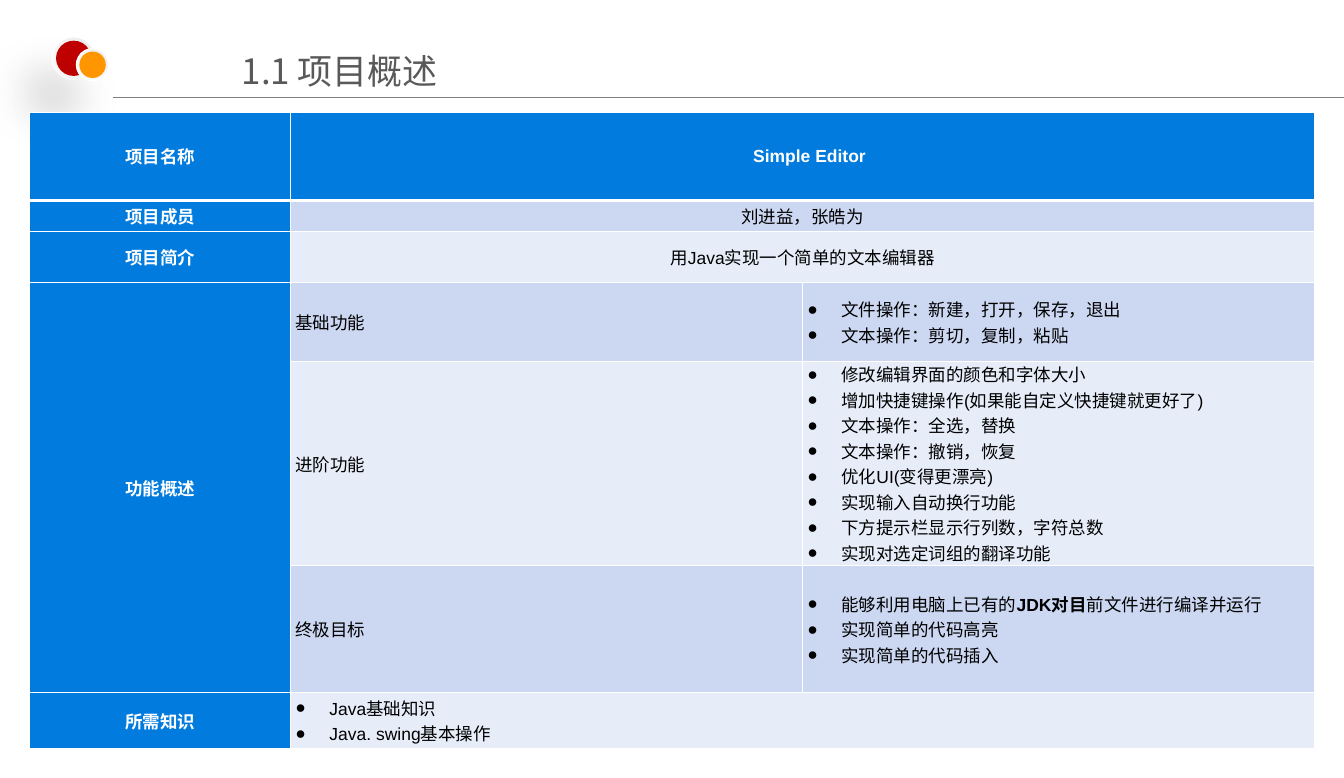
from lxml.etree import SubElement
from pptx import Presentation
from pptx.dml.color import RGBColor
from pptx.enum.shapes import MSO_CONNECTOR, MSO_SHAPE
from pptx.enum.text import MSO_ANCHOR, PP_ALIGN
from pptx.oxml.ns import qn
from pptx.util import Inches, Pt

WIDTH, HEIGHT = Inches(14.96), Inches(8.66)
WHITE = RGBColor(0xFF, 0xFF, 0xFF)
BLACK = RGBColor(0, 0, 0)
GRAY = RGBColor(0x59, 0x59, 0x59)
RULE_GRAY = RGBColor(0x80, 0x80, 0x80)
RIM_DARK = RGBColor(0xEB, 0xEB, 0xEB)
RIM_LIGHT = RGBColor(0xFE, 0xFE, 0xFE)
RED = RGBColor(0xC0, 0, 0)
ORANGE = RGBColor(0xFF, 0x96, 0)
BLUE = RGBColor(0x01, 0x7B, 0xDE)
BAND_DARK = RGBColor(0xCC, 0xD7, 0xF2)
BAND_LIGHT = RGBColor(0xE7, 0xEC, 0xF9)
CJK = "Noto Sans CJK SC"

COL_WEIGHTS = (2.91, 5.7, 5.7)
ROW_WEIGHTS = (0.98, 0.35, 0.57, 0.87, 2.28, 1.41, 0.62)
MERGES = [(0, 1, 0, 2), (1, 1, 1, 2), (2, 1, 2, 2), (3, 0, 5, 0), (6, 1, 6, 2)]
HEADINGS = {0: "项目名称", 1: "项目成员", 2: "项目简介", 3: "功能概述", 6: "所需知识"}
CENTERED = {0: "Simple Editor", 1: "刘进益，张皓为", 2: "用Java实现一个简单的文本编辑器"}
LEVELS = {3: "基础功能", 4: "进阶功能", 5: "终极目标"}
BULLETS = {
    (3, 2): ["文件操作：新建，打开，保存，退出", "文本操作：剪切，复制，粘贴"],
    (4, 2): ["修改编辑界面的颜色和字体大小", "增加快捷键操作(如果能自定义快捷键就更好了)",
             "文本操作：全选，替换", "文本操作：撤销，恢复", "优化UI(变得更漂亮)",
             "实现输入自动换行功能", "下方提示栏显示行列数，字符总数", "实现对选定词组的翻译功能"],
    (5, 2): [("能够利用电脑上已有的", "JDK对目", "前文件进行编译并运行"),
             "实现简单的代码高亮", "实现简单的代码插入"],
    (6, 1): ["Java基础知识", "Java. swing基本操作"],
}


def area(x, y, w, h):
    return [int(side * share / 100) for side, share in
            ((WIDTH, x), (HEIGHT, y), (WIDTH, w), (HEIGHT, h))]


def add_run(p, text, color, latin="Arial", **formats):
    r = p.add_run()
    r.text = text
    r.font.color.rgb = color
    for name, value in {"name": latin, **formats}.items():
        setattr(r.font, name, value)
    SubElement(r._r.get_or_add_rPr(), qn("a:ea"), typeface=CJK)


def add_shadow(sp):
    effects = SubElement(sp._element.spPr, qn("a:effectLst"))
    shadow = SubElement(effects, qn("a:outerShdw"), blurRad=str(Pt(36)), dist=str(Pt(35)),
                        dir=str(130 * 60000), algn="ctr", rotWithShape="0")
    color = SubElement(shadow, qn("a:srgbClr"), val=str(BLACK))
    SubElement(color, qn("a:alpha"), val="14000")


def add_disc(s, left, top, size, color):
    group = s.shapes.add_group_shape()
    rim = group.shapes.add_shape(MSO_SHAPE.OVAL, left, top, size, size)
    rim.fill.gradient()
    rim.fill.gradient_angle = 360 - 126
    for stop, shade in zip(rim.fill.gradient_stops, (RIM_DARK, RIM_LIGHT)):
        stop.color.rgb = shade
    rim.line.color.rgb = WHITE
    rim.line.width = Pt(1)
    add_shadow(rim)
    inset = int(size * 0.09)
    core = group.shapes.add_shape(MSO_SHAPE.OVAL, left + inset, top + inset,
                                  size - 2 * inset, size - 2 * inset)
    core.shadow.inherit = False
    core.fill.solid()
    core.fill.fore_color.rgb = color
    core.line.fill.background()


def add_ornament(s, box):
    left, top, width, height = box
    for dx, dy, size, color in ((0, 0, 0.76, RED), (0.43, 0.27, 0.57, ORANGE)):
        add_disc(s, int(left + dx * width), int(top + dy * height), int(size * width), color)


def add_rule(s, box):
    left, top, width, height = box
    line = s.shapes.add_connector(MSO_CONNECTOR.STRAIGHT, left, top, left + width, top + height)
    line.line.color.rgb = RULE_GRAY
    line.line.width = Pt(0.75)
    SubElement(line._element.spPr, qn("a:effectLst"))


def add_title(s, box):
    tf = s.shapes.add_textbox(*box).text_frame
    formats = {"word_wrap": True, "vertical_anchor": MSO_ANCHOR.MIDDLE,
               "margin_left": Inches(0.14), "margin_right": Inches(0.14),
               "margin_top": Inches(0.07), "margin_bottom": Inches(0.07)}
    for name, value in formats.items():
        setattr(tf, name, value)
    p = tf.paragraphs[0]
    p.alignment = PP_ALIGN.CENTER
    add_run(p, "1.1 项目概述", GRAY, CJK, size=Pt(28))


def style_cell(cell, row, col):
    tcPr = cell._tc.get_or_add_tcPr()
    widths = {"L": 1, "R": 1, "T": 3 if row == 1 else 1, "B": 3 if row == 0 else 1}
    for side, points in widths.items():
        border = SubElement(tcPr, qn("a:ln" + side), w=str(Pt(points)))
        fill = SubElement(border, qn("a:solidFill"))
        SubElement(fill, qn("a:srgbClr"), val=str(WHITE))
    cell.fill.solid()
    heading = row == 0 or col == 0
    cell.fill.fore_color.rgb = BLUE if heading else BAND_DARK if row % 2 else BAND_LIGHT
    formats = {"vertical_anchor": MSO_ANCHOR.MIDDLE, "margin_left": Inches(0.05),
               "margin_right": Inches(0.05), "margin_top": 0, "margin_bottom": 0}
    for name, value in formats.items():
        setattr(cell, name, value)


def fill_cell(cell, row, col, items, align, bullet=False):
    heading = row == 0 or col == 0
    tf = cell.text_frame
    for i, item in enumerate(items):
        p = tf.add_paragraph() if i else tf.paragraphs[0]
        p.alignment = align
        pPr = p._p.get_or_add_pPr()
        if bullet:
            pPr.set("marL", str(Inches(0.38)))
            pPr.set("indent", str(-Inches(0.38)))
            SubElement(pPr, qn("a:buFont"), typeface="Arial")
            SubElement(pPr, qn("a:buChar"), char="●")
        elif row == 0 and col == 1:
            pPr.set("indent", str(Inches(0.15)))
        parts = (item,) if isinstance(item, str) else item
        for k, part in enumerate(parts):
            add_run(p, part, WHITE if heading else BLACK,
                    size=Pt(14), bold=heading or k % 2 == 1)


def add_overview_table(s, box):
    width, height = box[2:]
    table = s.shapes.add_table(len(ROW_WEIGHTS), len(COL_WEIGHTS), *box).table
    for column, weight in zip(table.columns, COL_WEIGHTS):
        column.width = int(width * weight / sum(COL_WEIGHTS))
    for row, weight in zip(table.rows, ROW_WEIGHTS):
        row.height = int(height * weight / sum(ROW_WEIGHTS))
    for row in range(len(ROW_WEIGHTS)):
        for col in range(len(COL_WEIGHTS)):
            style_cell(table.cell(row, col), row, col)
    for top, left, bottom, right in MERGES:
        table.cell(top, left).merge(table.cell(bottom, right))
    for col, texts, align in ((0, HEADINGS, PP_ALIGN.CENTER), (1, CENTERED, PP_ALIGN.CENTER),
                              (1, LEVELS, PP_ALIGN.LEFT)):
        for row, text in texts.items():
            fill_cell(table.cell(row, col), row, col, [text], align)
    for (row, col), items in BULLETS.items():
        fill_cell(table.cell(row, col), row, col, items, PP_ALIGN.LEFT, bullet=True)


def main():
    prs = Presentation()
    prs.slide_width, prs.slide_height = WIDTH, HEIGHT
    s = prs.slides.add_slide(prs.slide_layouts[6])
    add_rule(s, area(8.42, 12.59, 91.58, 0))
    add_ornament(s, area(3.88, 4.73, 4.21, 5.66))
    add_title(s, area(7.89, 5.43, 34.76, 7.27))
    add_overview_table(s, area(2.19, 14.43, 95.64, 81.76))
    prs.save("out.pptx")


if __name__ == "__main__":
    main()
